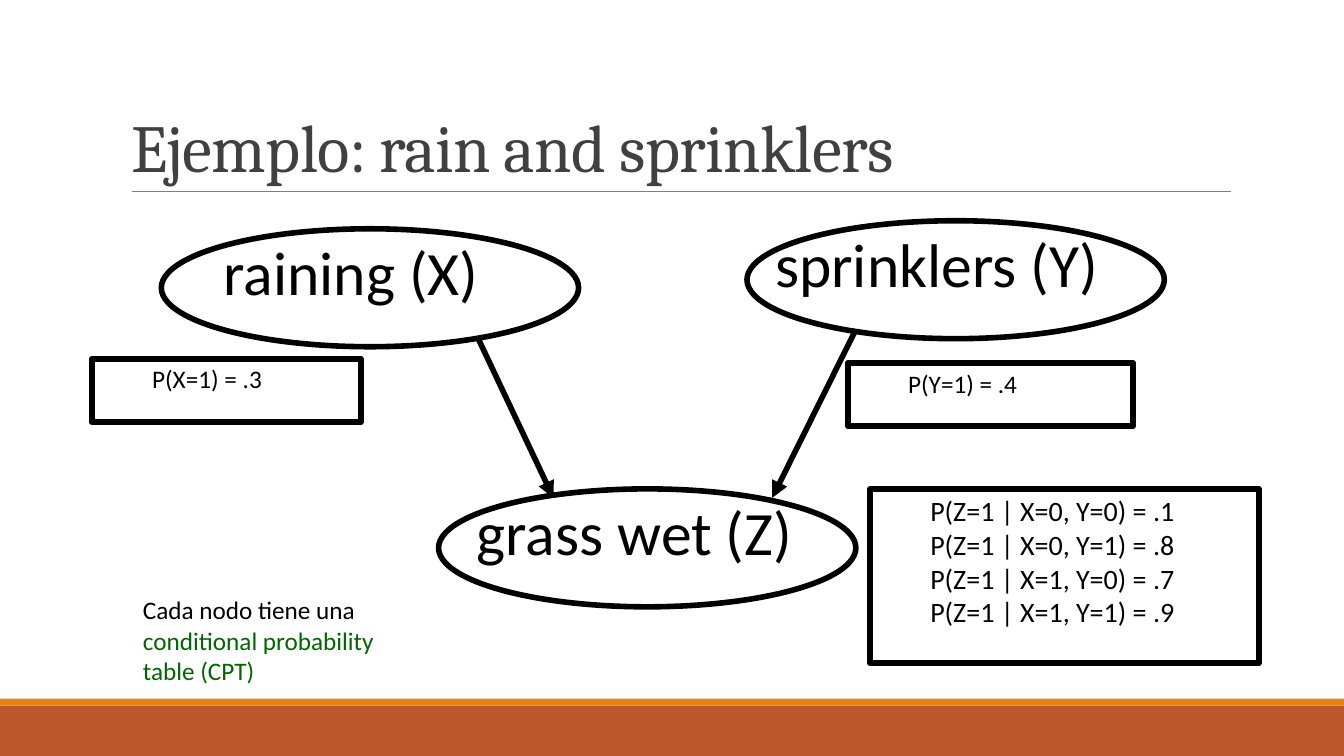
"""Draw the rain and sprinklers network with its probability tables."""
from lxml.etree import SubElement as Sub
from pptx import Presentation
from pptx.dml.color import RGBColor
from pptx.enum.shapes import MSO_CONNECTOR as Link, MSO_SHAPE as Form
from pptx.enum.text import MSO_ANCHOR as Anchor, MSO_AUTO_SIZE as Fit, PP_ALIGN as Align
from pptx.oxml.ns import qn
from pptx.util import Inches, Pt

WIDE, HIGH = Inches(13.33), Inches(7.5)
INK, GREEN, GREY = "000000", "006600", "808080"
NODE = (31.05, 15.6)
FRAME = {"word_wrap": True, "auto_size": Fit.NONE, "vertical_anchor": Anchor.TOP}

NODES = [
    ("raining (X)", 12, 30.27, 15.9, 21.98),
    ("sprinklers (Y)", 55.58, 29.2, 56.93, 27.08),
    ("grass wet (Z)", 32.63, 64.67, 34.73, 25.65),
]
TABLES = [
    ((6.83, 47.47, 20.03, 8.4), 18, ["P(X=1) = .3"]),
    ((63.08, 48, 21.23, 8.4), 18, ["P(Y=1) = .4"]),
    ((64.73, 64.67, 28.95, 23.07), 20, [
        "P(Z=1 | X=0, Y=0) = .1",
        "P(Z=1 | X=0, Y=1) = .8",
        "P(Z=1 | X=1, Y=0) = .7",
        "P(Z=1 | X=1, Y=1) = .9",
    ]),
]
ARROWS = [(35.55, 44.67, 41.18, 65.87), (63.68, 43.6, 57.45, 65.87)]


def place(*spots):
    """Turn percent shares, across and down in turn, into lengths."""
    return [int(spot * (HIGH if i % 2 else WIDE) / 100) for i, spot in enumerate(spots)]


def paint(target, color):
    """Give a fill or font its hex colour."""
    if hasattr(target, "solid"):
        target.solid()
        target = target.fore_color
    else:
        target = target.color
    target.rgb = RGBColor.from_string(color)


def style(item, values):
    """Set each named format value on an object."""
    for name, value in values.items():
        setattr(item, name, value)


def write(para, text, size, color=INK, face="Calibri"):
    """Add one run of formatted text and return it."""
    run = para.add_run()
    run.text = text
    style(run.font, {"name": face, "size": Pt(size)})
    paint(run.font, color)
    return run


def shape(slide, form, box, fill=None):
    """Add a filled bar, or a hollow shape with a heavy outline."""
    item = slide.shapes.add_shape(form, *place(*box))
    item.shadow.inherit = False
    if fill:
        paint(item.fill, fill)
        item.line.fill.background()
    else:
        item.fill.background()
        paint(item.line.fill, INK)
        item.line.width = Pt(4)
    return item


def line(slide, ends, color, width, head=False):
    """Add a straight line, with an arrowhead at its end if asked."""
    item = slide.shapes.add_connector(Link.STRAIGHT, *place(*ends))
    paint(item.line.fill, color)
    item.line.width = Pt(width)
    if head:
        Sub(item.line._get_or_add_ln(), qn("a:tailEnd"), type="triangle")
    Sub(item._element.spPr, qn("a:effectLst"))


def label(slide, box, parts, size):
    """Add a text box holding runs of (text, colour)."""
    frame = slide.shapes.add_textbox(*place(*box)).text_frame
    style(frame, FRAME)
    for text, color in parts:
        write(frame.paragraphs[0], text, size, color)


def table(slide, box, size, rows):
    """Add an outlined box with one indented row per probability."""
    frame = shape(slide, Form.RECTANGLE, box).text_frame
    style(frame, FRAME)
    for i, row in enumerate(rows):
        para = frame.add_paragraph() if i else frame.paragraphs[0]
        style(para, {"level": 1, "alignment": Align.LEFT})
        write(para, row, size)


def title(slide, box, text):
    """Place and format the title."""
    item = slide.shapes.title
    spots = place(*box)
    style(item, dict(zip(("left", "top", "width", "height"), spots)))
    frame = item.text_frame
    style(frame, FRAME | {"vertical_anchor": Anchor.BOTTOM})
    para = frame.paragraphs[0]
    style(para, {"alignment": Align.LEFT, "line_spacing": 0.85})
    run = write(para, text, 48, "404040", "Cambria")
    run._r.get_or_add_rPr().set("spc", "-50")


def main():
    """Build and save the slide."""
    deck = Presentation()
    style(deck, {"slide_width": WIDE, "slide_height": HIGH})
    slide = deck.slides.add_slide(deck.slide_layouts[5])
    shape(slide, Form.RECTANGLE, (0, 93.33, 100, 6.67), "BD582C")
    shape(slide, Form.RECTANGLE, (0, 92.4, 100, 0.93), "E48312")
    line(slide, (9.83, 25.33, 91.58, 25.33), GREY, 0.5)
    title(slide, (9, 4.13, 82.5, 21.2), "Ejemplo: rain and sprinklers")
    for text, left, top, start, width in NODES:
        label(slide, (start, top, width, 12.93), [(text, INK)], 44)
        shape(slide, Form.OVAL, (left, top, *NODE))
    for box, size, rows in TABLES:
        table(slide, box, size, rows)
    for ends in ARROWS:
        line(slide, ends, INK, 4, head=True)
    note = [("Cada nodo tiene una ", INK), ("conditional probability table (CPT)", GREEN)]
    label(slide, (9.9, 78, 20.33, 13.47), note, 18)
    deck.save("out.pptx")


if __name__ == "__main__":
    main()
